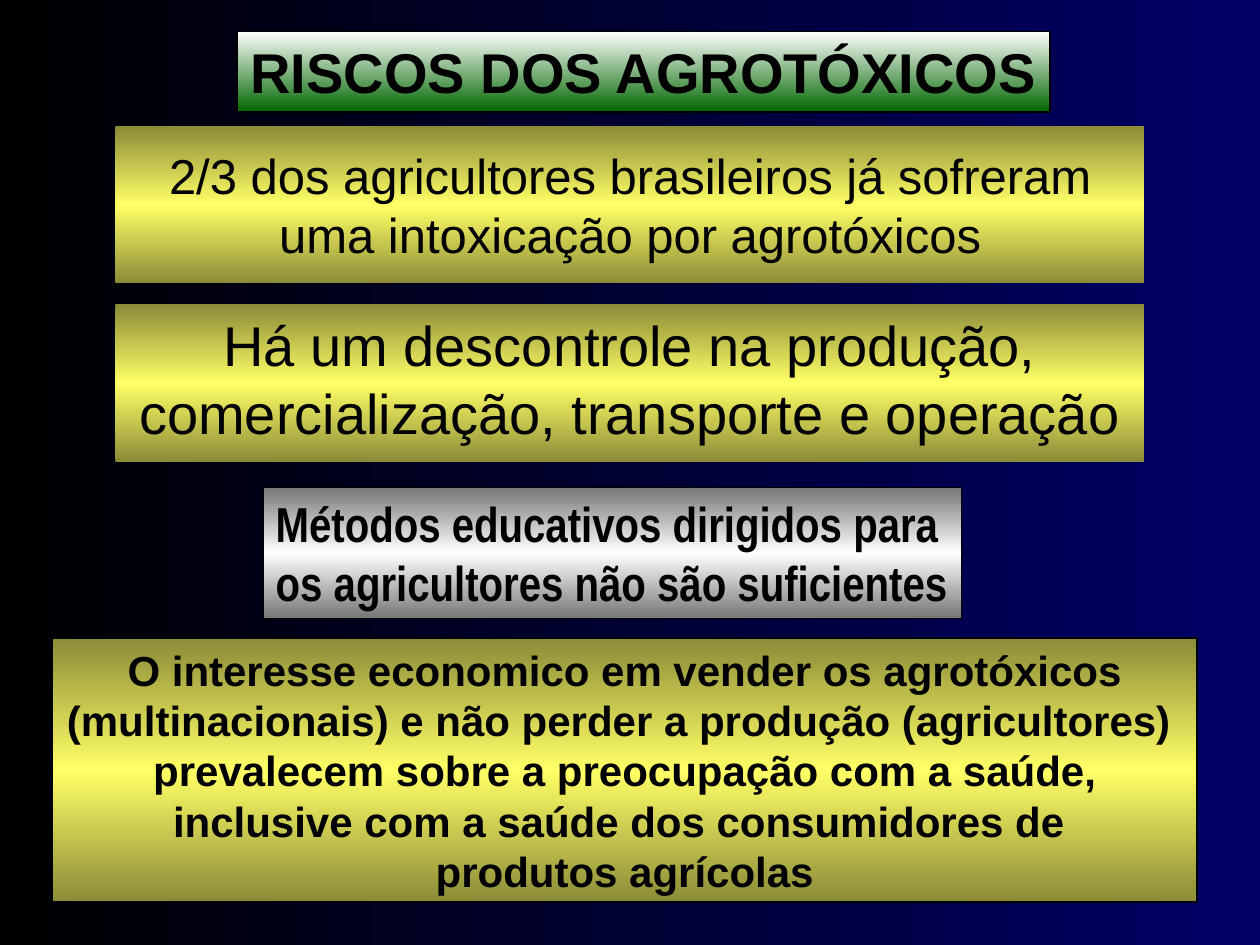
from copy import deepcopy

from pptx import Presentation
from pptx.dml.color import RGBColor
from pptx.enum.text import MSO_ANCHOR, MSO_AUTO_SIZE, PP_ALIGN
from pptx.util import Pt

LEFT, CENTER = PP_ALIGN.LEFT, PP_ALIGN.CENTER
TOP, MIDDLE = MSO_ANCHOR.TOP, MSO_ANCHOR.MIDDLE
FIXED, GROW = MSO_AUTO_SIZE.NONE, MSO_AUTO_SIZE.SHAPE_TO_FIT_TEXT

COLORS = {
    "black": "000000",
    "navy": "000066",
    "olive": "8B8B38",
    "yellow": "FFFF66",
    "white": "FFFFFF",
    "green": "006600",
    "gray": "767676",
}
YELLOW_BAND = ("olive", "yellow", "olive")
GRAY_BAND = ("gray", "white", "gray")
GREEN_FADE = ("white", "green")
DOWNWARD = 270


def color(name):
    return RGBColor.from_string(COLORS[name])


def paint_gradient(fill, element, names, angle):
    fill.gradient()
    fill.gradient_angle = angle
    stop_list = element.xpath(".//a:gsLst")[0]
    while len(stop_list) < len(names):
        stop_list.append(deepcopy(stop_list[-1]))
    for index, (stop, name) in enumerate(zip(fill.gradient_stops, names)):
        stop.position = index / (len(names) - 1)
        stop.color.rgb = color(name)


def place(shape, left, top, width, height):
    shape.left, shape.top = Pt(left), Pt(top)
    shape.width, shape.height = Pt(width), Pt(height)


def write_text(shape, text, size, font="Arial", bold=False, align=CENTER):
    paragraph = shape.text_frame.paragraphs[0]
    paragraph.text = text
    paragraph.alignment = align
    paragraph.space_before = Pt(0)
    paragraph.font.name = font
    paragraph.font.size = Pt(size)
    paragraph.font.bold = bold
    paragraph.font.color.rgb = color("black")


def fill_placeholder(shape, top, text, size, anchor):
    place(shape, 66, top, 588, 90)
    paint_gradient(shape.fill, shape._element, YELLOW_BAND, DOWNWARD)
    frame = shape.text_frame
    frame.auto_size = FIXED
    frame.word_wrap = True
    frame.vertical_anchor = anchor
    write_text(shape, text, size)


def add_box(slide, bounds, gradient, text, size, wrap=False, **style):
    shape = slide.shapes.add_textbox(*(Pt(value) for value in bounds))
    paint_gradient(shape.fill, shape._element, gradient, DOWNWARD)
    shape.line.color.rgb = color("black")
    shape.line.width = Pt(0.75)
    shape.text_frame.word_wrap = wrap
    shape.text_frame.auto_size = GROW
    write_text(shape, text, size, bold=True, **style)


def main():
    presentation = Presentation()
    presentation.slide_width, presentation.slide_height = Pt(720), Pt(540)
    slide = presentation.slides.add_slide(presentation.slide_layouts[0])
    paint_gradient(slide.background.fill, slide._element, ("black", "navy"), 0)

    fill_placeholder(
        slide.shapes.title, 72,
        "2/3 dos agricultores brasileiros já sofreram\vuma intoxicação por agrotóxicos",
        28, MIDDLE)
    fill_placeholder(
        slide.placeholders[1], 174,
        "Há um descontrole na produção, comercialização, transporte e operação",
        32, TOP)
    add_box(
        slide, (30, 364.5, 654, 151), YELLOW_BAND,
        "O interesse economico em vender os agrotóxicos (multinacionais) "
        "e não perder a produção (agricultores) \v"
        "prevalecem sobre a preocupação com a saúde, "
        "inclusive com a saúde dos consumidores de \vprodutos agrícolas",
        24, wrap=True)
    add_box(slide, (135.5, 18, 464.5, 46), GREEN_FADE, "RISCOS DOS AGROTÓXICOS", 32)
    add_box(
        slide, (150.5, 278.5, 399, 75), GRAY_BAND,
        "Métodos educativos dirigidos para \vos agricultores não são suficientes",
        28, font="Arial Narrow", align=LEFT)

    presentation.save("out.pptx")


if __name__ == "__main__":
    main()
